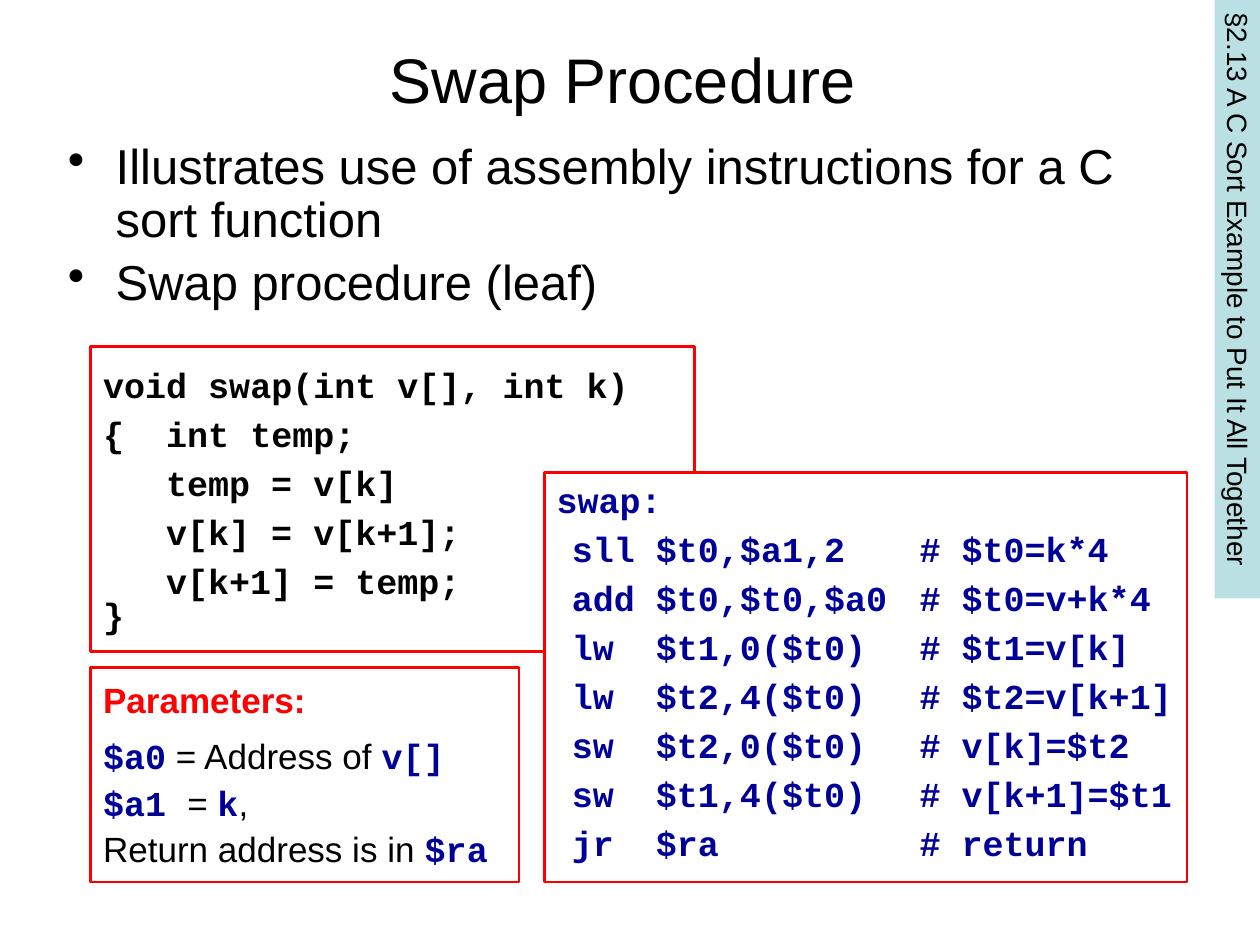
from lxml import etree
from pptx import Presentation
from pptx.dml.color import RGBColor
from pptx.enum.shapes import MSO_SHAPE
from pptx.enum.text import MSO_ANCHOR, PP_ALIGN
from pptx.oxml.ns import qn
from pptx.util import Inches, Pt

BLACK = RGBColor(0x00, 0x00, 0x00)
WHITE = RGBColor(0xFF, 0xFF, 0xFF)
RED = RGBColor(0xFF, 0x00, 0x00)
NAVY = RGBColor(0x00, 0x00, 0x99)
TEAL = RGBColor(0xBB, 0xE0, 0xE3)
RECT = MSO_SHAPE.RECTANGLE
TOP, MIDDLE = MSO_ANCHOR.TOP, MSO_ANCHOR.MIDDLE
LEFT, CENTER = PP_ALIGN.LEFT, PP_ALIGN.CENTER
SANS, MONO = "Arial", "Courier New"

POINTS = [
    "Illustrates use of assembly instructions for a C sort function",
    "Swap procedure (leaf)",
]
SOURCE = [
    "void swap(int v[], int k)",
    "{  int temp;",
    "\ttemp = v[k]",
    "\tv[k] = v[k+1];",
    "\tv[k+1] = temp;",
    "}",
]
STEPS = [
    ("sll $t0,$a1,2", "$t0=k*4"),
    ("add $t0,$t0,$a0", "$t0=v+k*4"),
    ("lw  $t1,0($t0)", "$t1=v[k]"),
    ("lw  $t2,4($t0)", "$t2=v[k+1]"),
    ("sw  $t2,0($t0)", "v[k]=$t2"),
    ("sw  $t1,4($t0)", "v[k+1]=$t1"),
    ("jr  $ra", "return"),
]
# Each part is a text and whether it is code.
PARAMS = [
    [("$a0", True), (" = Address of ", False), ("v[]", True)],
    [("$a1 ", True), ("= ", False), ("k", True), (",", False)],
    [("Return address is in ", False), ("$ra", True)],
]


def set_font(font, size, name=SANS, color=BLACK, bold=False):
    """Set size, face, colour and weight."""
    font.size, font.name, font.bold = Pt(size), name, bold
    font.color.rgb = color


def set_gap(para, percent):
    """Set the space before a paragraph as a percentage."""
    para.space_before = Pt(0)
    gap = para._p.pPr.find(qn("a:spcBef"))
    gap.remove(gap[0])
    etree.SubElement(gap, qn("a:spcPct"), val=str(percent * 1000))


def set_tabs(para, stops):
    """Add left tab stops, given in inches."""
    tabs = etree.SubElement(para._p.get_or_add_pPr(), qn("a:tabLst"))
    for stop in stops:
        etree.SubElement(tabs, qn("a:tab"), pos=str(Inches(stop)), algn="l")


def set_bullet(para):
    """Give a paragraph a round bullet and a hanging indent."""
    props = para._p.get_or_add_pPr()
    props.set("marL", str(Inches(0.38)))
    props.set("indent", str(Inches(-0.38)))
    etree.SubElement(props, qn("a:buChar"), char="\u2022")


def add_paras(frame, count, align=LEFT):
    """Return a list of empty aligned paragraphs."""
    paras = [frame.paragraphs[0]]
    paras += [frame.add_paragraph() for _ in range(count - 1)]
    for para in paras:
        para.alignment = align
    return paras


def add_text(slide, left, top, width, height, anchor=TOP):
    """Add a wrapping text box and return its frame."""
    box = slide.shapes.add_textbox(
        Inches(left), Inches(top), Inches(width), Inches(height))
    frame = box.text_frame
    frame.word_wrap, frame.vertical_anchor = True, anchor
    return frame


def add_box(slide, left, top, width, height, fill=None, line=None, anchor=TOP):
    """Add a flat rectangle ready for text."""
    box = slide.shapes.add_shape(
        RECT, Inches(left), Inches(top), Inches(width), Inches(height))
    box.shadow.inherit = False
    if fill is None:
        box.fill.background()
    else:
        box.fill.solid()
        box.fill.fore_color.rgb = fill
    if line is None:
        box.line.fill.background()
    else:
        box.line.color.rgb, box.line.width = line, Pt(1.5)
    frame = box.text_frame
    frame.word_wrap, frame.vertical_anchor = True, anchor
    return box


def add_code(frame, lines, color, stops):
    """Fill a frame with tabbed lines of code."""
    paras = add_paras(frame, len(lines))
    for para, line in zip(paras, lines):
        para.add_run().text = line
        set_font(para.font, 20, MONO, color, True)
        if line == "}":
            para.line_spacing = 0.8
        else:
            set_gap(para, 20)
        set_tabs(para, stops)


def add_params(frame):
    """Fill a frame with the heading and the list of parameters."""
    head, *rest = add_paras(frame, len(PARAMS) + 1)
    head.text, head.line_spacing = "Parameters:", 1.1
    set_font(head.font, 20, SANS, RED, True)
    for para, parts in zip(rest, PARAMS):
        para.line_spacing = 1.1
        for text, code in parts:
            run = para.add_run()
            run.text = text
            face, color = (MONO, NAVY) if code else (SANS, BLACK)
            set_font(run.font, 20, face, color, code)
    set_gap(rest[0], 30)


def add_label(slide):
    """Add the section label that runs down the right edge."""
    label = add_box(slide, 7.45, 2.19, 4.75, 0.37, TEAL)
    label.rotation = 90
    para = add_paras(label.text_frame, 1)[0]
    para.text = "\u00a72.13 A C Sort Example to Put It All Together"
    set_font(para.font, 16)


def main():
    """Build the slide and save it."""
    deck = Presentation()
    deck.slide_width, deck.slide_height = Inches(10), Inches(7.5)
    slide = deck.slides.add_slide(deck.slide_layouts[6])

    title = add_paras(add_text(slide, 0.44, 0, 9, 1.25, MIDDLE), 1, CENTER)[0]
    title.text = "Swap Procedure"
    set_font(title.font, 36)

    body = add_text(slide, 0.44, 1.08, 8.55, 5.59)
    for para, point in zip(add_paras(body, len(POINTS)), POINTS):
        para.text, para.line_spacing = point, 0.9
        set_font(para.font, 28)
        set_gap(para, 20)
        set_bullet(para)

    add_label(slide)
    add_params(add_box(slide, 0.72, 5.3, 3.4, 1.7, line=RED).text_frame)

    source = add_box(slide, 0.72, 2.75, 4.79, 2.42, line=RED, anchor=MIDDLE)
    frame = source.text_frame
    frame.margin_top = frame.margin_bottom = Inches(0.1)
    add_code(frame, SOURCE, BLACK, [0.5])

    steps = add_box(slide, 4.32, 3.75, 5.1, 3.25, WHITE, RED)
    steps.text_frame.word_wrap = False
    lines = ["swap:"] + [f"\t{step}\t# {note}" for step, note in STEPS]
    add_code(steps.text_frame, lines, NAVY, [0.12, 2.88])

    deck.save("out.pptx")


main()
